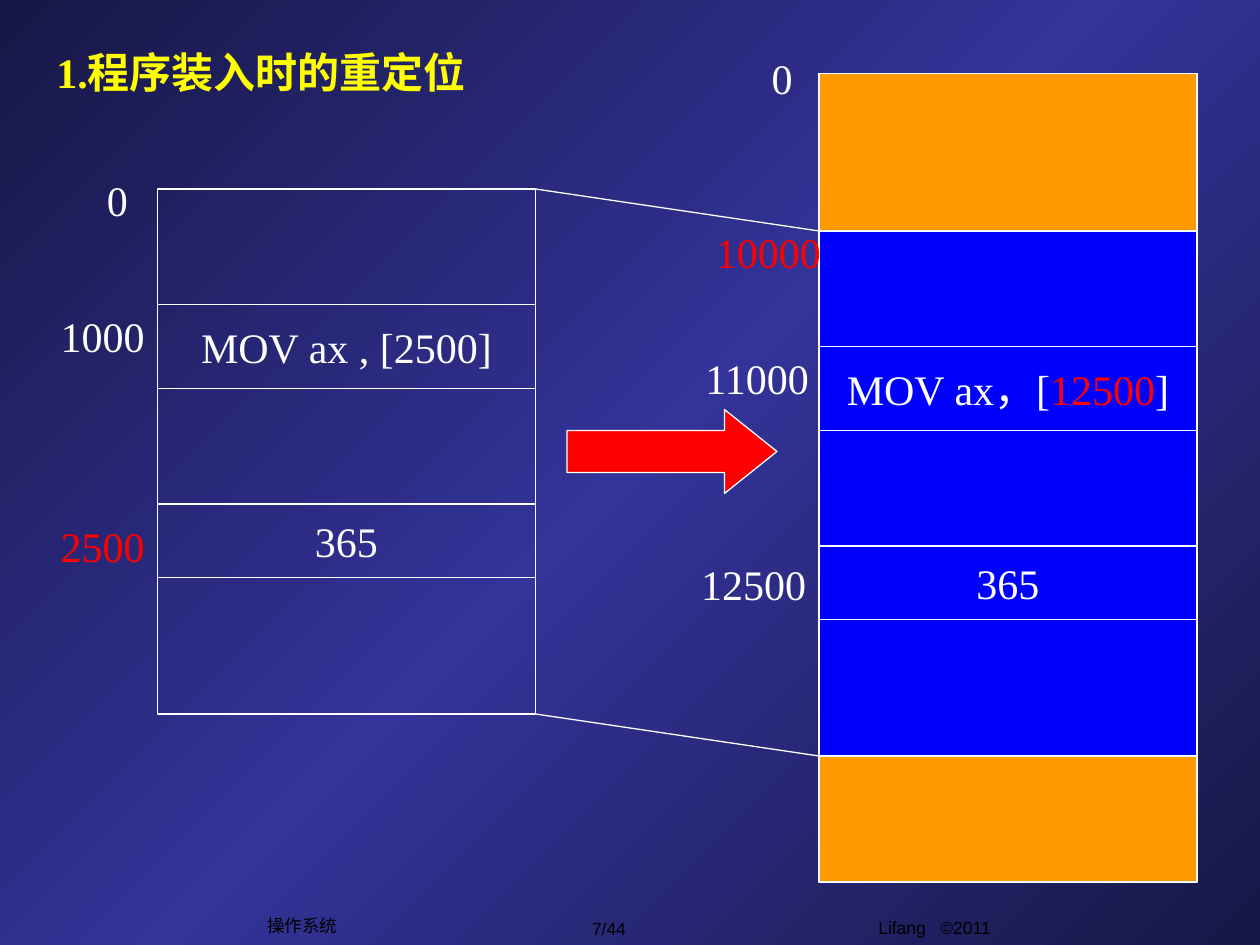
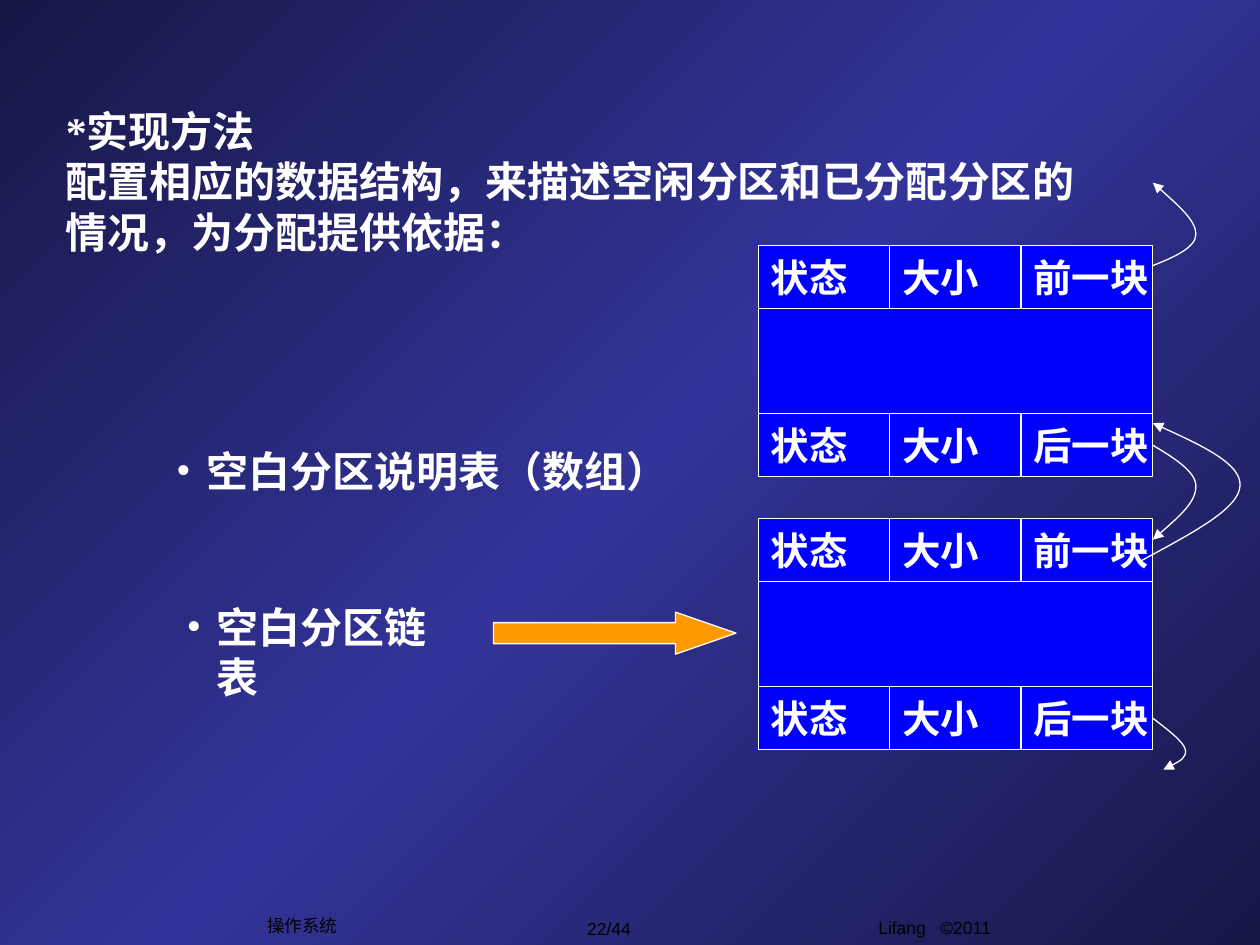
"""Build two slides on program relocation and free memory partitions."""
from copy import deepcopy
from itertools import accumulate

from pptx import Presentation
from pptx.dml.color import RGBColor
from pptx.enum.shapes import MSO_CONNECTOR, MSO_SHAPE
from pptx.enum.text import MSO_ANCHOR, MSO_AUTO_SIZE, PP_ALIGN
from pptx.oxml.ns import qn
from pptx.oxml.xmlchemy import OxmlElement
from pptx.util import Emu, Inches, Pt

WHITE = RGBColor(0xFF, 0xFF, 0xFF)
BLACK = RGBColor(0, 0, 0)
RED = RGBColor(0xFF, 0, 0)
YELLOW = RGBColor(0xFF, 0xFF, 0)
ORANGE = RGBColor(0xFF, 0x99, 0)
BLUE = RGBColor(0, 0, 0xFF)
NIGHT = RGBColor(0x17, 0x17, 0x46)
INDIGO = RGBColor(0x33, 0x33, 0x99)
BACKDROP = [(0, NIGHT), (0.5, INDIGO), (1, NIGHT)]

SERIF, SANS = "Times New Roman", "Arial"
GRID = Inches(1) / 12
SLIDE_COLS, SLIDE_ROWS = 120, 90

COURSE, AUTHOR, PAGE_COUNT = "操作系统", "Lifang   ©2011", 44

RELOCATION = {
    "page": 7,
    "title": "1.程序装入时的重定位",
    "title_at": (4.2, 3.4, 102, 6.8),
    "row_heights": (11, 8, 11, 7, 13),
    "program": {"left": 15, "top": 18, "fill": None,
                "rows": ((), ("MOV ax , [2500]",), (), ("365",), ())},
    "memory": {"left": 78, "top": 22, "fill": BLUE,
               "rows": ((), ("MOV ax，[", "12500", "]"), (), ("365",), ())},
    "memory_at": (78, 7, 36, 77),
    "load_arrow": (54, 39, 20, 8),
    "addresses": [
        ("0", 9, 16, WHITE), ("1000", 4.6, 29, WHITE), ("2500", 4.6, 49, RED),
        ("0", 72.3, 4.4, WHITE), ("10000", 67, 21, RED),
        ("11000", 66, 33, WHITE), ("12500", 65.6, 52.6, WHITE),
    ],
}

PARTITIONS = {
    "page": 22,
    "title": "*实现方法\v配置相应的数据结构，来描述空闲分区和已分配分区的情况，为分配提供依据：",
    "title_at": (5.1, 9.7, 99.2, 15.1),
    "methods": [("空白分区说明表（数组）", (15.6, 41.8, 55.8, 6)),
                ("空白分区链表", (16.6, 56.7, 27.7, 6))],
    "chain_arrow": (47, 58.3, 23.1, 4),
    "block_left": 72.25,
    "block_tops": (23.4, 49.4),
    "header": ("状态", "大小", "前一块"),
    "footer": ("状态", "大小", "后一块"),
    "links": [
        [(109.8, 42.4), (111.8, 43.6), (113.9, 44.9), (113.9, 46.3),
         (113.9, 47.9), (111.8, 49.6), (109.8, 51.4)],
        [(108.7, 53.4), (113.3, 50.9), (118, 48.5), (118.1, 46.3),
         (118.3, 44.2), (114, 42.2), (109.8, 40.3)],
        [(109.8, 25.3), (111.8, 24.5), (113.9, 23.6), (113.9, 22.3),
         (113.9, 21), (111.8, 19.2), (109.8, 17.4)],
        [(109.8, 68.4), (111.2, 69.5), (112.7, 70.6), (112.9, 71.4),
         (113, 72.2), (112, 72.7), (110.8, 73.3)],
    ],
}


def grid(*units):
    return [Emu(round(unit * GRID)) for unit in units]


def write(shape, pieces, size=24, color=WHITE, bold=False, font=SERIF,
          align=PP_ALIGN.LEFT, anchor=MSO_ANCHOR.MIDDLE, wrap=False):
    frame = shape.text_frame
    frame.word_wrap, frame.vertical_anchor = wrap, anchor
    paragraph = frame.paragraphs[0]
    paragraph.text, paragraph.alignment = pieces[0], align
    for piece in pieces[1:]:
        paragraph.add_run().text = piece
    for index, run in enumerate(paragraph.runs):
        run.font.name, run.font.size, run.font.bold = font, Pt(size), bold
        run.font.color.rgb = RED if len(pieces) > 1 and index == 1 else color
    return paragraph


def add_text(slide, place, text, **style):
    box = slide.shapes.add_textbox(*grid(*place))
    paragraph = write(box, (text,), **style)
    box.text_frame.auto_size = MSO_AUTO_SIZE.NONE
    return paragraph


def outline(shape, fill=None):
    shape.shadow.inherit = False
    if fill is None:
        shape.fill.background()
    else:
        shape.fill.solid()
        shape.fill.fore_color.rgb = fill
    shape.line.color.rgb, shape.line.width = WHITE, Pt(0.75)


def add_cell(slide, place, fill, kind=MSO_SHAPE.RECTANGLE):
    cell = slide.shapes.add_shape(kind, *grid(*place))
    outline(cell, fill)
    return cell


def add_arrow(slide, place, fill, head):
    arrow = add_cell(slide, place, fill, MSO_SHAPE.RIGHT_ARROW)
    arrow.adjustments[0], arrow.adjustments[1] = 0.5, head


def add_line(slide, start, end):
    line = slide.shapes.add_connector(
        MSO_CONNECTOR.STRAIGHT, *grid(*start), *grid(*end))
    line.line.color.rgb, line.line.width = WHITE, Pt(0.75)
    line._element.spPr.append(OxmlElement("a:effectLst"))


def add_link(slide, points):
    start, *rest = [grid(*point) for point in points]
    builder = slide.shapes.build_freeform(*start)
    builder.add_line_segments(rest, close=False)
    link = builder.convert_to_shape()
    outline(link)
    segments = list(link._element.iter(qn("a:lnTo")))
    for first in range(0, len(segments), 3):
        curve = OxmlElement("a:cubicBezTo")
        segments[first].addprevious(curve)
        for segment in segments[first:first + 3]:
            curve.append(segment[0])
            segment.getparent().remove(segment)
    tail = OxmlElement("a:tailEnd")
    tail.set("type", "triangle")
    link.line._get_or_add_ln().append(tail)


def add_slide(deck, content, title_color):
    slide = deck.slides.add_slide(deck.slide_layouts[6])
    fill = slide.background.fill
    fill.gradient()
    stops = slide.element.find(".//" + qn("a:gsLst"))
    stops.append(deepcopy(stops[0]))
    for stop, (position, color) in zip(fill.gradient_stops, BACKDROP):
        stop.position, stop.color.rgb = position, color
    fill.gradient_angle = 135

    small = dict(size=10, color=BLACK, font=SANS, align=PP_ALIGN.CENTER)
    add_text(slide, (70, 86.7, 38, 4.2), AUTHOR,
             anchor=MSO_ANCHOR.TOP, wrap=True, **small)
    add_text(slide, (51.9, 86.8, 12.2, 3.2),
             f"{content['page']}/{PAGE_COUNT}", **small)
    add_text(slide, (24.3, 86.5, 9, 3.2), COURSE, **small)
    add_text(slide, content["title_at"], content["title"],
             color=title_color, bold=True, wrap=True)
    return slide


def add_relocation(deck):
    content = RELOCATION
    slide = add_slide(deck, content, YELLOW)
    add_cell(slide, content["memory_at"], ORANGE)
    heights, width = content["row_heights"], content["memory_at"][2]
    program, memory = content["program"], content["memory"]
    for space in (program, memory):
        tops = accumulate(heights, initial=space["top"])
        for top, height, pieces in zip(tops, heights, space["rows"]):
            cell = add_cell(slide, (space["left"], top, width, height), space["fill"])
            if pieces:
                write(cell, pieces, align=PP_ALIGN.CENTER)
    for offset in (0, sum(heights)):
        add_line(slide, (program["left"] + width, program["top"] + offset),
                 (memory["left"], memory["top"] + offset))
    add_arrow(slide, content["load_arrow"], RED, 0.625)
    for address, left, top, color in content["addresses"]:
        add_text(slide, (left, top, 2.6 + 2 * len(address), 6), address,
                 color=color, anchor=MSO_ANCHOR.TOP)


def add_partitions(deck):
    content = PARTITIONS
    slide = add_slide(deck, content, WHITE)
    for method, place in content["methods"]:
        paragraph = add_text(slide, place, method, bold=True,
                             anchor=MSO_ANCHOR.TOP, wrap=True)
        properties = paragraph._p.get_or_add_pPr()
        properties.set("marL", str(Inches(0.24)))
        properties.set("indent", str(-Inches(0.24)))
        for tag, key, value in (("a:buFont", "typeface", SERIF),
                                ("a:buChar", "char", "•")):
            bullet = OxmlElement(tag)
            bullet.set(key, value)
            properties.append(bullet)
    add_arrow(slide, content["chain_arrow"], ORANGE, 1.439)

    left, field_width, field_height, body_height = content["block_left"], 12.5, 6, 10
    for top in content["block_tops"]:
        body_top = top + field_height
        add_cell(slide, (left, body_top, 3 * field_width, body_height), BLUE)
        for row_top, fields in ((top, content["header"]),
                                (body_top + body_height, content["footer"])):
            for column, field in enumerate(fields):
                cell = add_cell(slide, (left + column * field_width, row_top,
                                        field_width, field_height), BLUE)
                write(cell, (field,), size=22, bold=True)
    for points in content["links"]:
        add_link(slide, points)


def main():
    deck = Presentation()
    deck.slide_width, deck.slide_height = grid(SLIDE_COLS, SLIDE_ROWS)
    add_relocation(deck)
    add_partitions(deck)
    deck.save("out.pptx")


if __name__ == "__main__":
    main()
